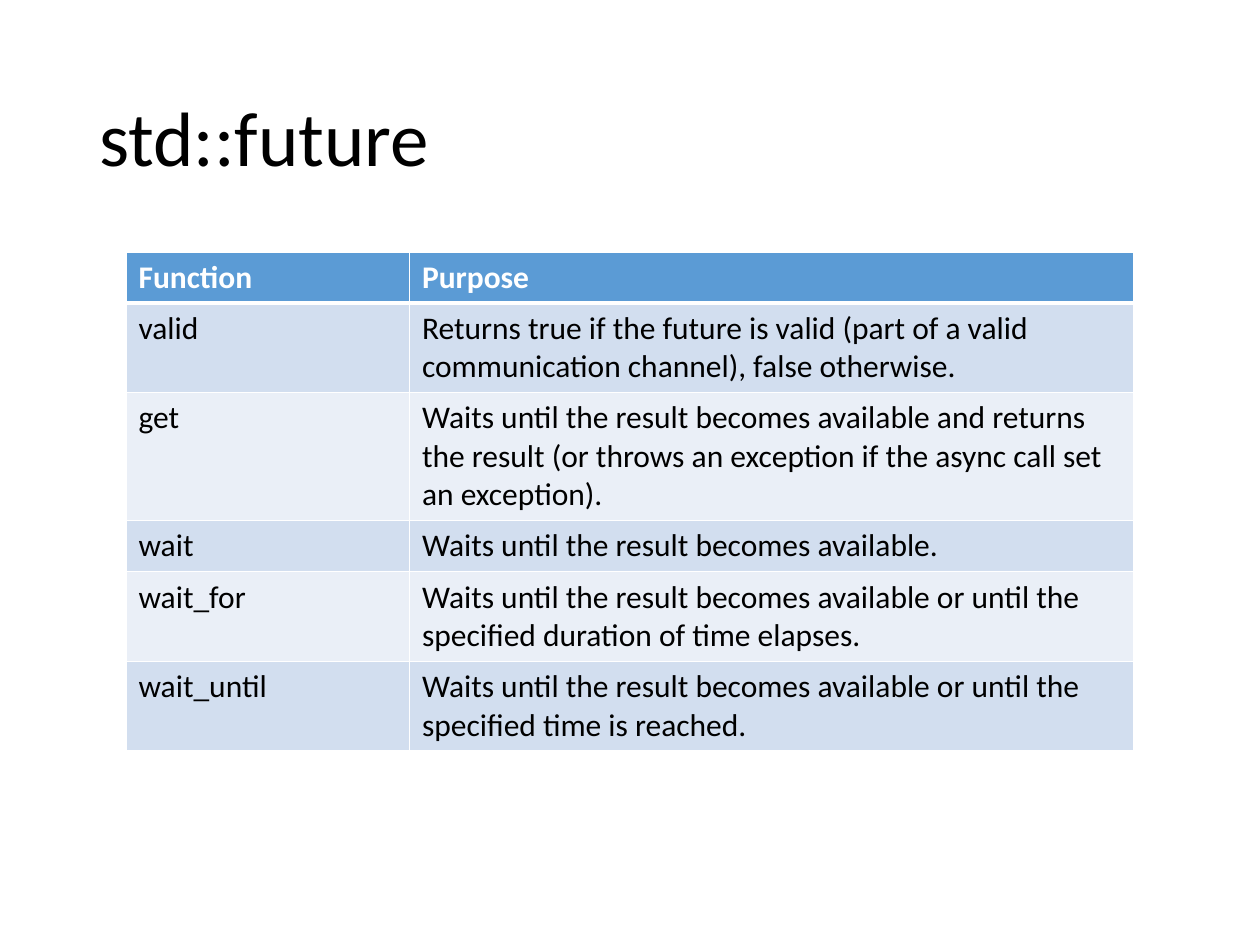
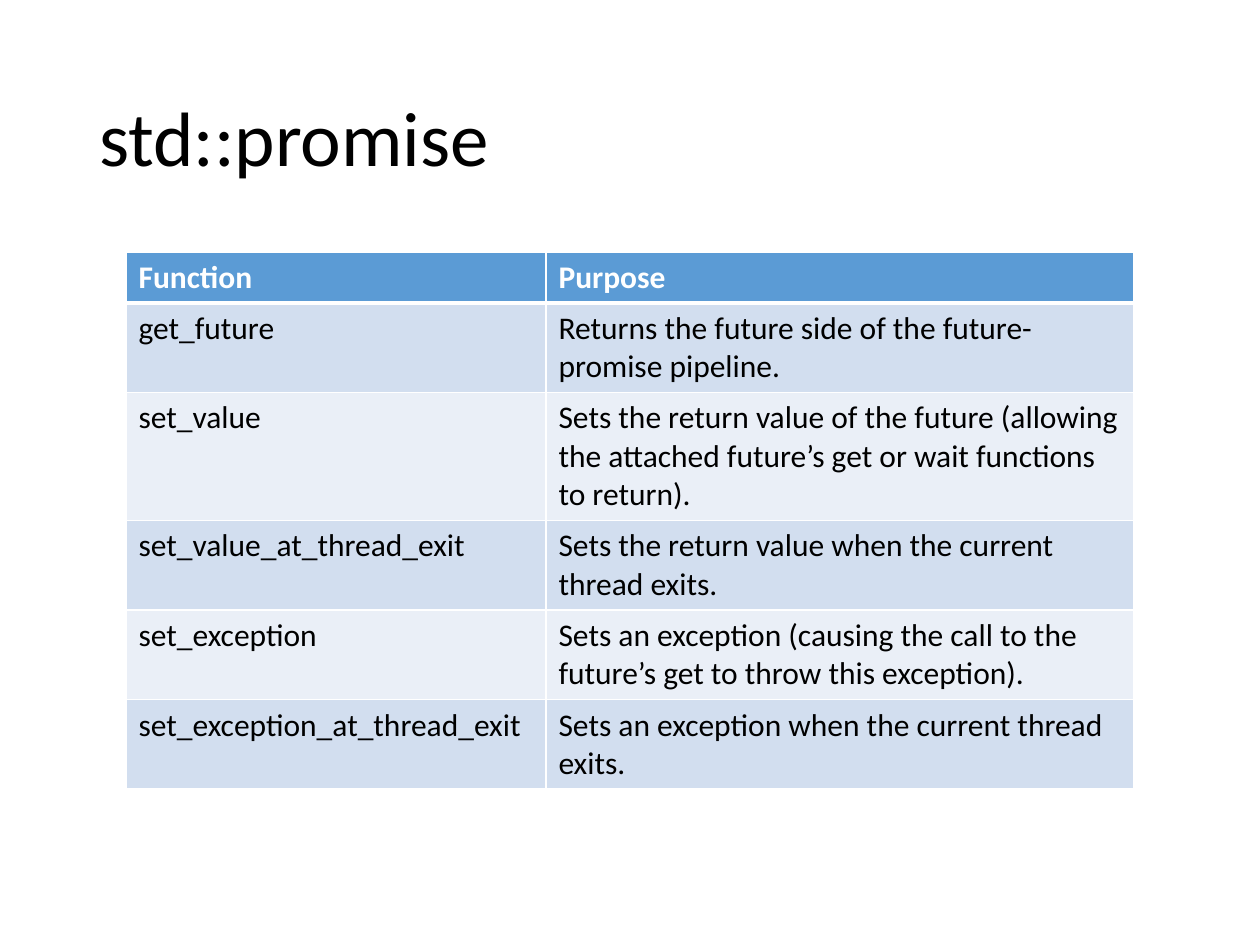
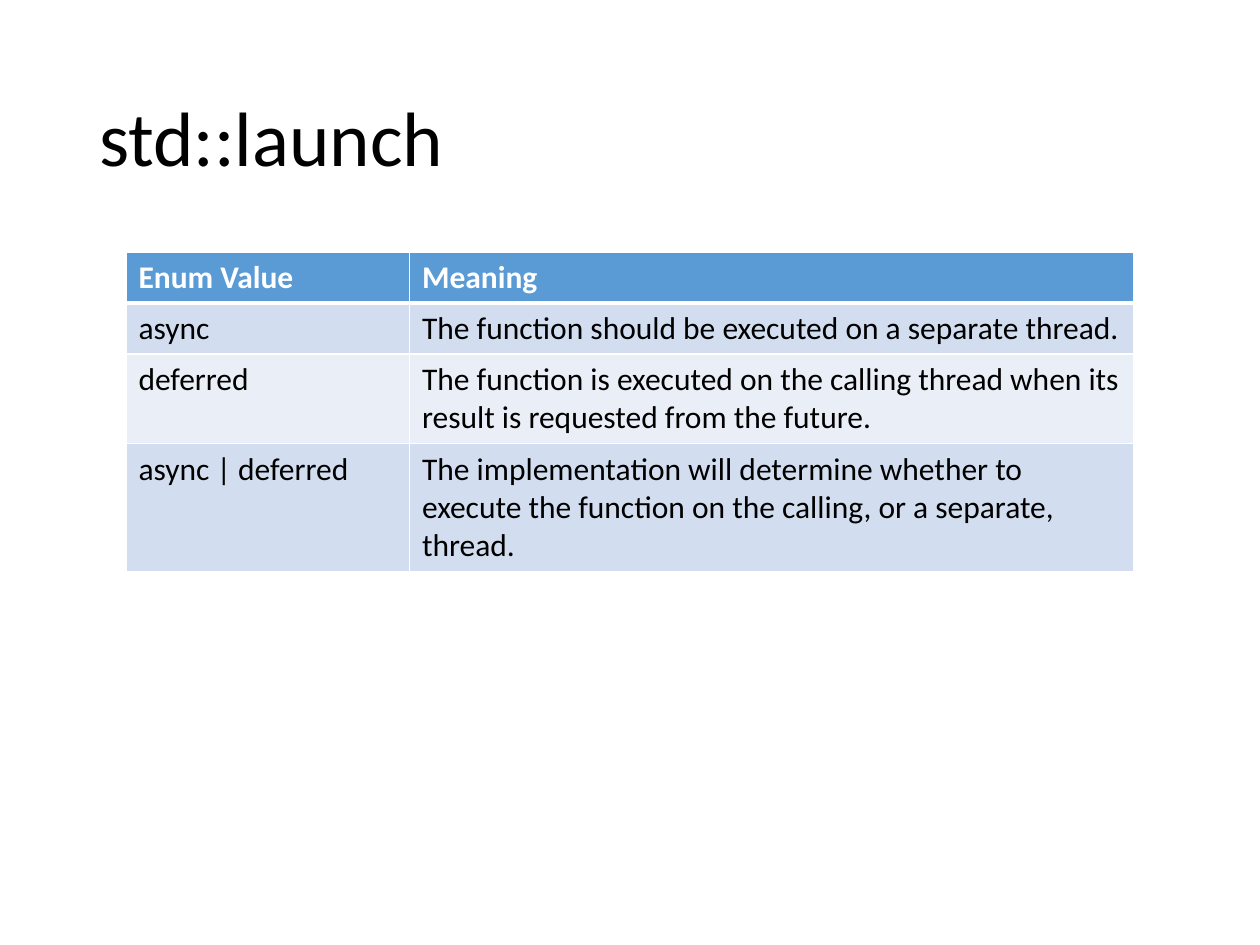
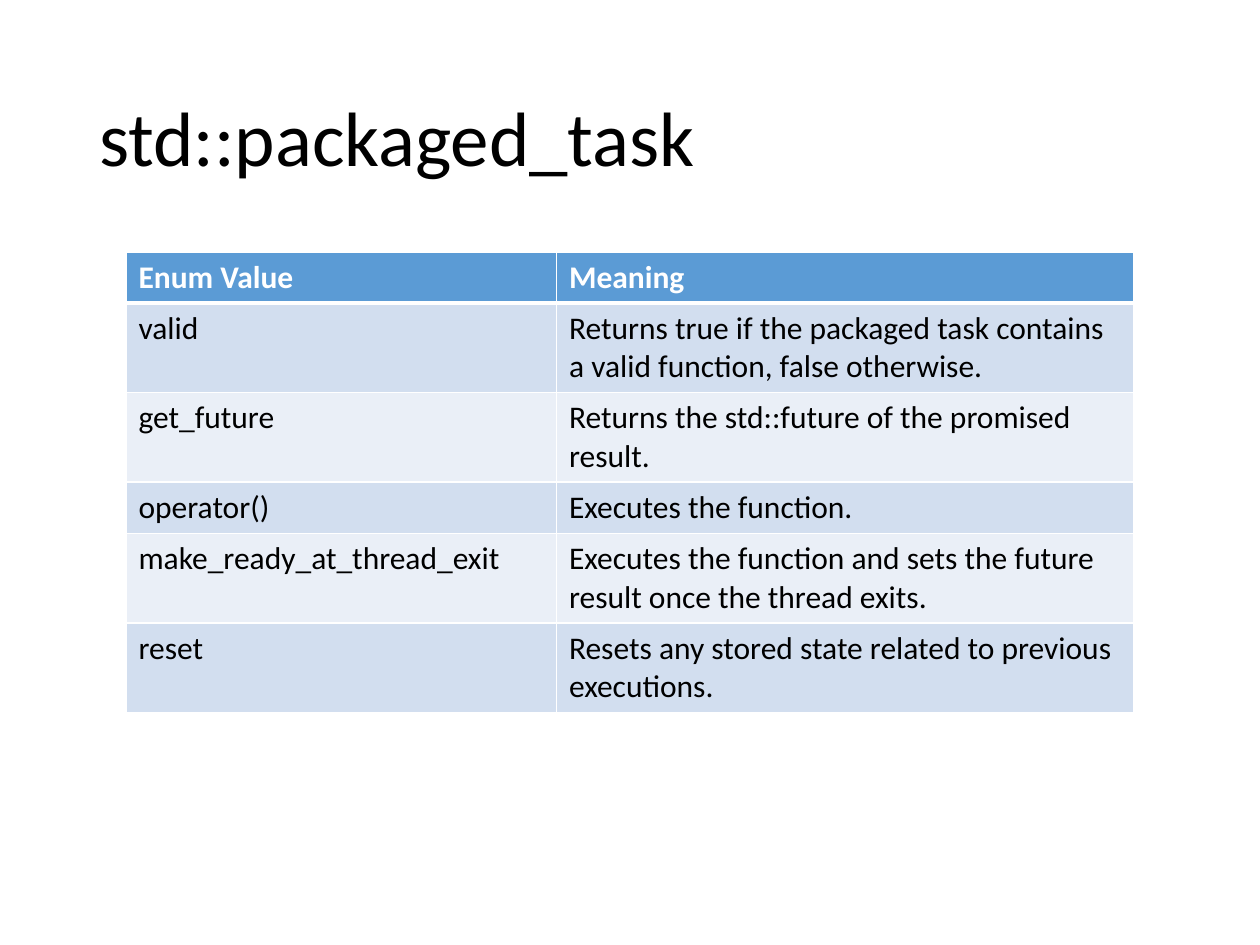
"""Builds four reference slides on the C++ concurrency types."""
from lxml.etree import SubElement
from pptx import Presentation
from pptx.dml.color import RGBColor
from pptx.enum.text import MSO_ANCHOR, PP_ALIGN
from pptx.oxml.ns import qn
from pptx.util import Pt

WHITE = RGBColor(0xFF, 0xFF, 0xFF)
BLACK = RGBColor(0x00, 0x00, 0x00)
HEADER_BLUE = RGBColor(0x5B, 0x9B, 0xD5)
BAND_DARK = RGBColor(0xD2, 0xDE, 0xEF)
BAND_LIGHT = RGBColor(0xEA, 0xEF, 0xF7)

FUNCTION_HEADER = ("Function", "Purpose")
ENUM_HEADER = ("Enum Value", "Meaning")

PAGES = [
    ("std::future", 162, [
        FUNCTION_HEADER,
        ("valid", "Returns true if the future is valid (part of a valid "
                  "communication channel), false otherwise."),
        ("get", "Waits until the result becomes available and returns the result "
                "(or throws an exception if the async call set an exception)."),
        ("wait", "Waits until the result becomes available."),
        ("wait_for", "Waits until the result becomes available or until the "
                     "specified duration of time elapses."),
        ("wait_until", "Waits until the result becomes available or until the "
                       "specified time is reached."),
    ]),
    ("std::promise", 240, [
        FUNCTION_HEADER,
        ("get_future", "Returns the future side of the future-promise pipeline."),
        ("set_value", "Sets the return value of the future (allowing the attached "
                      "future’s get or wait functions to return)."),
        ("set_value_at_thread_exit",
         "Sets the return value when the current thread exits."),
        ("set_exception", "Sets an exception (causing the call to the future’s get "
                          "to throw this exception)."),
        ("set_exception_at_thread_exit",
         "Sets an exception when the current thread exits."),
    ]),
    ("std::launch", 162, [
        ENUM_HEADER,
        ("async", "The function should be executed on a separate thread."),
        ("deferred", "The function is executed on the calling thread when its "
                     "result is requested from the future."),
        ("async | deferred", "The implementation will determine whether to execute "
                             "the function on the calling, or a separate, thread."),
    ]),
    ("std::packaged_task", 246, [
        ENUM_HEADER,
        ("valid", "Returns true if the packaged task contains a valid function, "
                  "false otherwise."),
        ("get_future", "Returns the std::future of the promised result."),
        ("operator()", "Executes the function."),
        ("make_ready_at_thread_exit", "Executes the function and sets the future "
                                      "result once the thread exits."),
        ("reset", "Resets any stored state related to previous executions."),
    ]),
]


class ReferenceDeck:
    """Holds the shared style and the current page."""

    font_name = "Calibri"
    title_size = Pt(44)
    table_size = Pt(18)
    table_width = 576
    row_height = 29.2

    def __init__(self):
        """Start an empty 4:3 deck."""
        self.deck = Presentation()
        self.deck.slide_width, self.deck.slide_height = Pt(720), Pt(540)
        self.page = None

    def add_page(self, title):
        """Add a page with its title."""
        self.page = self.deck.slides.add_slide(self.deck.slide_layouts[5])
        box = self.page.shapes.title
        box.left, box.top, box.width, box.height = Pt(49.5), Pt(28.75), Pt(621), Pt(104.4)
        box.text_frame.text = title
        box.text_frame.vertical_anchor = MSO_ANCHOR.MIDDLE
        para = box.text_frame.paragraphs[0]
        para.alignment = PP_ALIGN.LEFT
        para.line_spacing = 0.9
        self.style(para, self.title_size, BLACK)

    def add_table(self, name_width, rows):
        """Add a two-column table with a header and banded rows."""
        frame = self.page.shapes.add_table(
            len(rows), 2, Pt(72), Pt(144), Pt(self.table_width),
            Pt(self.row_height * len(rows)))
        table = frame.table
        table.columns[0].width = Pt(name_width)
        table.columns[1].width = Pt(self.table_width - name_width)
        for row_index, texts in enumerate(rows):
            for column_index, text in enumerate(texts):
                self.fill_cell(table.cell(row_index, column_index), text, row_index)

    def fill_cell(self, cell, text, row_index):
        """Write one cell in the look of its row."""
        header = row_index == 0
        band = BAND_DARK if row_index % 2 else BAND_LIGHT
        self.add_borders(cell, top=3 if row_index == 1 else 1, bottom=3 if header else 1)
        cell.fill.solid()
        cell.fill.fore_color.rgb = HEADER_BLUE if header else band
        cell.text = text
        self.style(cell.text_frame.paragraphs[0], self.table_size,
                   WHITE if header else BLACK, header)

    def add_borders(self, cell, top, bottom):
        """Draw the white lines around a cell."""
        properties = cell._tc.get_or_add_tcPr()
        for side, width in (("L", 1), ("R", 1), ("T", top), ("B", bottom)):
            line = SubElement(properties, qn(f"a:ln{side}"), w=str(Pt(width)))
            fill = SubElement(line, qn("a:solidFill"))
            SubElement(fill, qn("a:srgbClr"), val=str(WHITE))

    def style(self, para, size, color, bold=False):
        """Set the font of a paragraph."""
        para.font.name = self.font_name
        para.font.size = size
        para.font.bold = bold
        para.font.color.rgb = color


reference = ReferenceDeck()
for page_title, first_width, page_rows in PAGES:
    reference.add_page(page_title)
    reference.add_table(first_width, page_rows)
reference.deck.save("out.pptx")
